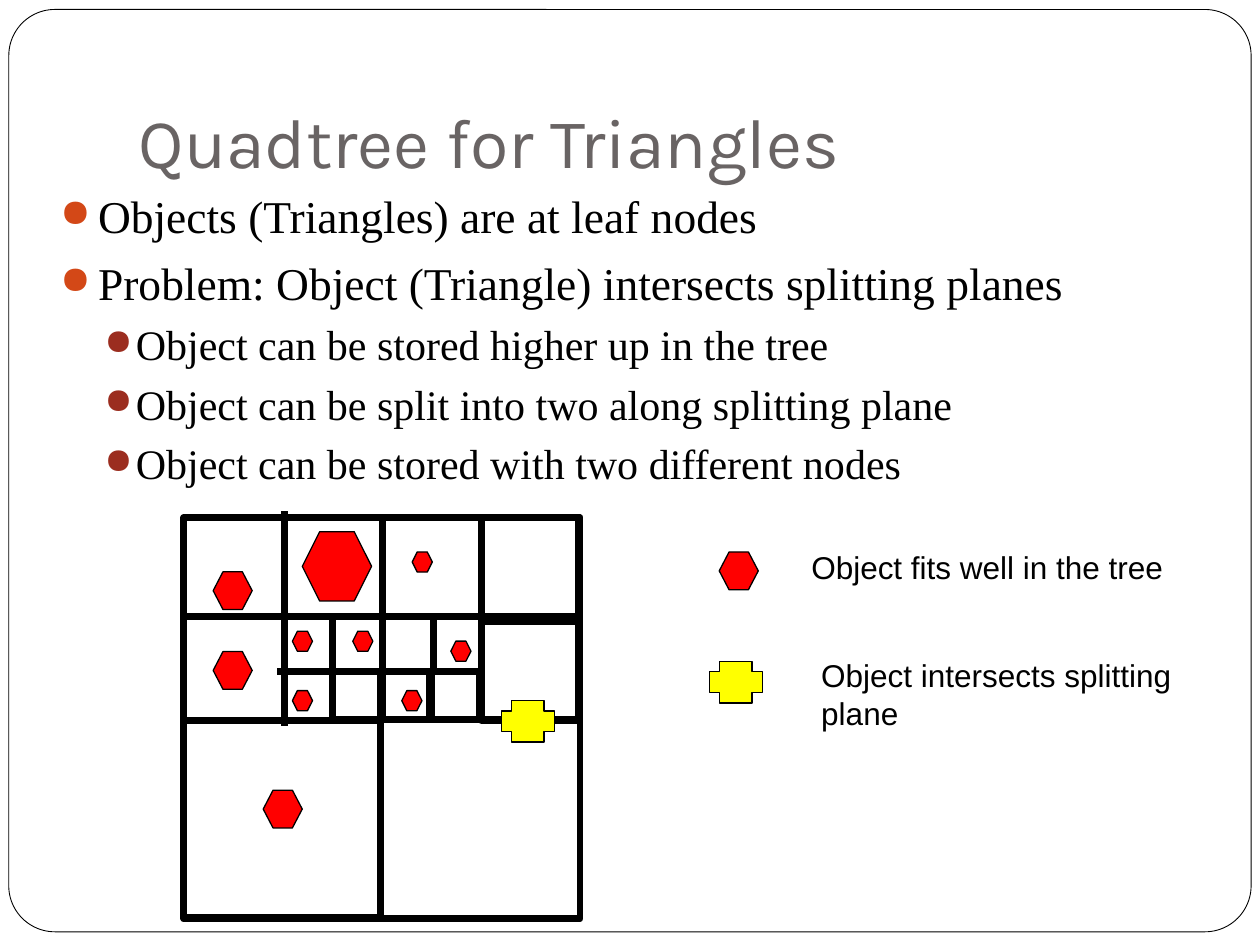
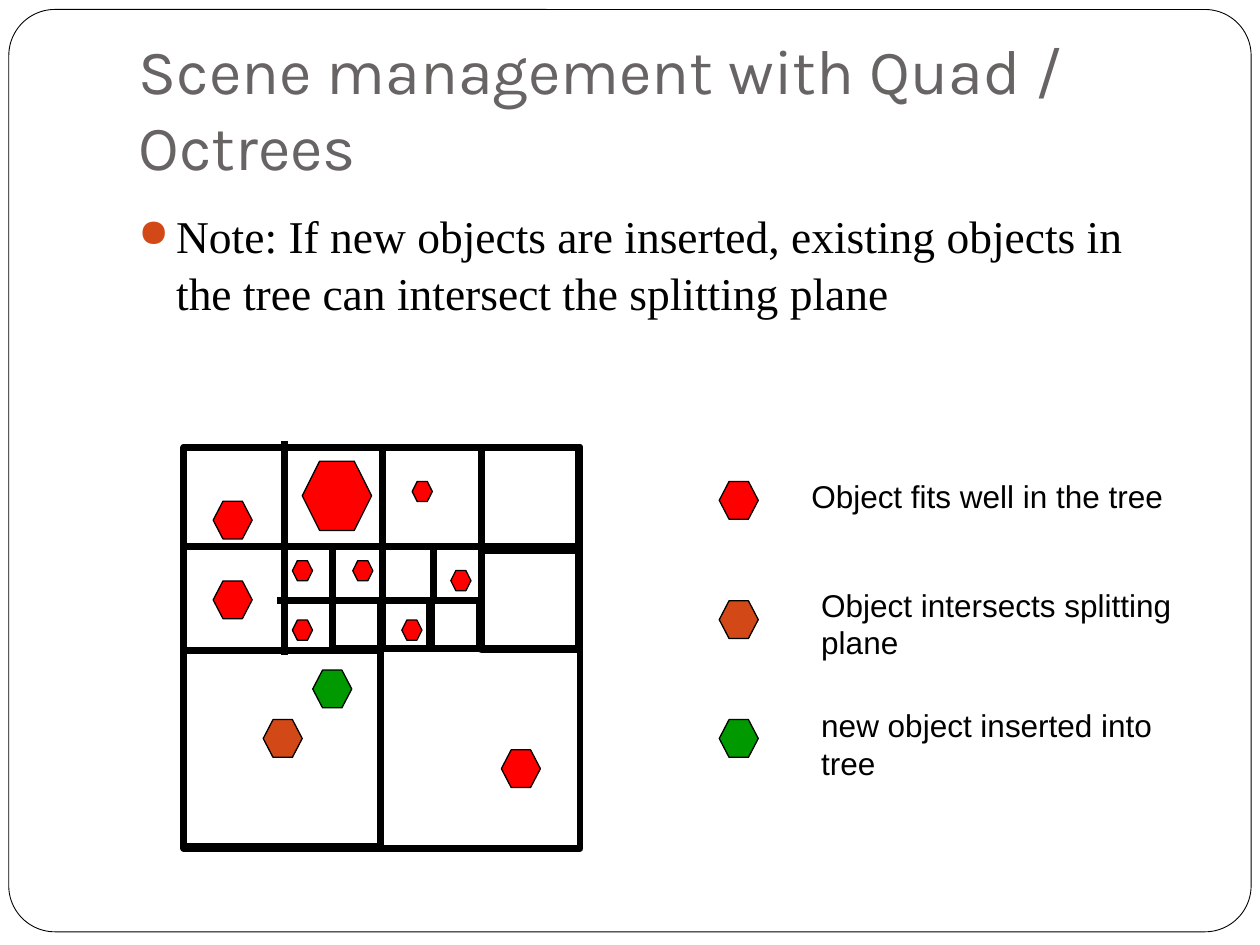
from dataclasses import dataclass

from lxml.etree import SubElement
from pptx import Presentation
from pptx.dml.color import RGBColor
from pptx.enum.shapes import MSO_CONNECTOR, MSO_SHAPE
from pptx.enum.text import MSO_ANCHOR, MSO_AUTO_SIZE, PP_ALIGN
from pptx.oxml.ns import qn
from pptx.util import Inches, Pt

COLORS = {
    "paper": "FFFFFF", "ink": "000000", "title": "696464",
    "fits": "FF0000", "plane": "FFFF00", "split": "D34817", "new": "009900",
    "bullet": "D34817", "sub_bullet": "9B2D1F",
}
WIDTH, HEIGHT = 10, 7.5
CELL = 0.393      # side of the smallest quadtree cell, inches
TREE_LEFT = 1.46
WALL = 4          # points

TITLE_FRAME = {
    "word_wrap": True, "auto_size": MSO_AUTO_SIZE.NONE,
    "vertical_anchor": MSO_ANCHOR.BOTTOM,
    "margin_left": Inches(0.1), "margin_right": Inches(0.1),
    "margin_top": Inches(0.05), "margin_bottom": Inches(0.1),
}
# Indent and hang in inches, space before and size in points, for each level
LEVELS = [(0.3, 0.3, 5.8, 26, "bullet"), (0.6, 0.25, 3.7, 24, "sub_bullet")]


@dataclass(frozen=True)
class Kind:
    """Look of an object: size in inches and corner adjustment."""
    preset: MSO_SHAPE
    width: float
    height: float
    corner: float


BIG = Kind(MSO_SHAPE.HEXAGON, 0.55, 0.55, 0.25)
MEDIUM = Kind(MSO_SHAPE.HEXAGON, 0.31, 0.3, 0.26)
SMALL = Kind(MSO_SHAPE.HEXAGON, 0.16, 0.16, 0.25)
CROSS = Kind(MSO_SHAPE.CROSS, 0.42, 0.33, 0.25)


@dataclass(frozen=True)
class Item:
    """An object at a column and row of the tree's cells."""
    kind: Kind
    col: float
    row: float
    color: str = "fits"


@dataclass(frozen=True)
class Label:
    col: float
    row: float
    text: str
    height: float = 0.7


@dataclass(frozen=True)
class Page:
    title: str
    title_size: int
    body_box: tuple[float, float, float, float]
    bullets: list[tuple[int, str]]
    tree_top: float
    items: list[Item]
    labels: list[Label]


# Column, row, columns wide, rows high, filled
WALLS = [
    (0, 0, 8, 8.1, True),
    (0, 4.1, 3.97, 3.97, False),
    (4, 0, 3.97, 4.07, True),
    *[(6, row, 1.98, 2.09, False) for row in (0, 2)],
    *[(col, 3.1, 0.97, 0.97, False) for col in (5, 4, 3)],
]
# Column and row of both ends
SPLITS = [
    (0, 2, 5.98, 2), (2.04, 4.2, 2.04, -0.13), (3.1, 3.1, 1.88, 3.1),
    *[(col, 2, col, 3.08) for col in (3, 5.04)],
]
SHARED_ITEMS = [
    Item(MEDIUM, 0.59, 1.09), Item(MEDIUM, 0.59, 2.7), Item(BIG, 2.39, 0.28),
    *[Item(SMALL, col, row) for col, row in (
        (2.19, 2.29), (2.19, 3.49), (3.41, 2.29),
        (4.61, 0.69), (5.39, 2.49), (4.4, 3.49))],
    Item(MEDIUM, 10.81, 0.69),
]
SHARED_LABELS = [
    Label(12.42, 0.48, "Object fits well in the tree", 0.4),
    Label(12.62, 2.67, "Object intersects splitting plane"),
]

PAGES = [
    Page(
        "Quadtree for Triangles", 40, (0.38, 1.42, 9.4, 5.01),
        [(0, "Objects (Triangles) are at leaf nodes"),
         (0, "Problem: Object (Triangle) intersects splitting planes"),
         (1, "Object can be stored higher up in the tree"),
         (1, "Object can be split into two along splitting plane"),
         (1, "Object can be stored with two different nodes")],
        4.11,
        [Item(CROSS, 6.41, 3.69, "plane"), Item(MEDIUM, 1.6, 5.5),
         Item(CROSS, 10.61, 2.9, "plane")],
        [],
    ),
    Page(
        "Scene management with Quad / Octrees", 36, (1, 1.58, 8.5, 5),
        [(0, "Note: If new objects are inserted, existing objects in "
             "the tree can intersect the splitting plane")],
        3.55,
        [Item(MEDIUM, 1.6, 5.5, "split"), Item(MEDIUM, 6.41, 6.11),
         Item(MEDIUM, 10.81, 3.1, "split"), Item(MEDIUM, 10.81, 5.5, "new"),
         Item(MEDIUM, 2.6, 4.5, "new")],
        [Label(12.62, 5.11, "new object inserted into tree")],
    ),
]


def rgb(name: str) -> RGBColor:
    return RGBColor.from_string(COLORS[name])


def apply(target, values: dict) -> None:
    for name, value in values.items():
        setattr(target, name, value)


def set_font(font, face: str, size: float, color: str = "ink") -> None:
    apply(font, {"name": face, "size": Pt(size)})
    font.color.rgb = rgb(color)


def add_figure(slide, preset, box, fill: str | None, line_width: float):
    figure = slide.shapes.add_shape(preset, *map(Inches, box))
    figure.shadow.inherit = False
    if fill:
        figure.fill.solid()
        figure.fill.fore_color.rgb = rgb(fill)
    else:
        figure.fill.background()
    figure.line.color.rgb = rgb("ink")
    figure.line.width = Pt(line_width)
    return figure


def add_layout_border(slide) -> None:
    """Move the rounded border behind everything on the shared layout."""
    box = (0.007 * WIDTH, 0.01 * HEIGHT, 0.986 * WIDTH, 0.976 * HEIGHT)
    border = add_figure(slide, MSO_SHAPE.ROUNDED_RECTANGLE, box, "paper", 0.5)
    border.adjustments[0] = 0.05
    slide.slide_layout.shapes.element.insert(2, border.element)


def format_title(slide, page: Page) -> None:
    title = slide.shapes.title
    apply(title, {
        "left": Inches(0.1 * WIDTH), "top": Inches(0.04 * HEIGHT),
        "width": Inches(0.85 * WIDTH), "height": Inches(1.25)})
    title.text_frame.text = page.title
    apply(title.text_frame, TITLE_FRAME)
    heading = title.text_frame.paragraphs[0]
    heading.alignment = PP_ALIGN.LEFT
    set_font(heading.runs[0].font, "Karla", page.title_size, "title")


def add_bullets(slide, page: Page) -> None:
    frame = slide.shapes.add_textbox(*map(Inches, page.body_box)).text_frame
    frame.word_wrap = True
    for number, (level, text) in enumerate(page.bullets):
        point = frame.add_paragraph() if number else frame.paragraphs[0]
        indent, hang, before, size, color = LEVELS[level]
        apply(point, {"text": text, "level": level,
                      "space_before": Pt(before), "line_spacing": 1.05})
        set_font(point.runs[0].font, "Times New Roman", size)
        props = point._p.get_or_add_pPr()
        props.set("marL", str(Inches(indent)))
        props.set("indent", str(-Inches(hang)))
        tint = SubElement(props, qn("a:buClr"))
        SubElement(tint, qn("a:srgbClr"), val=COLORS[color])
        SubElement(props, qn("a:buSzPct"), val="85000")
        SubElement(props, qn("a:buChar"), char="●")


def add_tree(slide, top: float) -> None:
    # Cells
    for col, row, cols, rows, filled in WALLS:
        box = (TREE_LEFT + col * CELL, top + row * CELL,
               cols * CELL, rows * CELL)
        add_figure(slide, MSO_SHAPE.RECTANGLE, box,
                   "paper" if filled else None, WALL)
    # Splitting planes
    for col1, row1, col2, row2 in SPLITS:
        split = slide.shapes.add_connector(
            MSO_CONNECTOR.STRAIGHT,
            Inches(TREE_LEFT + col1 * CELL), Inches(top + row1 * CELL),
            Inches(TREE_LEFT + col2 * CELL), Inches(top + row2 * CELL))
        split.line.color.rgb = rgb("ink")
        split.line.width = Pt(WALL)
        SubElement(split.element.spPr, qn("a:effectLst"))


def add_item(slide, item: Item, top: float) -> None:
    kind = item.kind
    box = (TREE_LEFT + item.col * CELL, top + item.row * CELL,
           kind.width, kind.height)
    figure = add_figure(slide, kind.preset, box, item.color, 0.75)
    figure.adjustments[0] = kind.corner


def add_label(slide, label: Label, top: float) -> None:
    frame = slide.shapes.add_textbox(
        Inches(TREE_LEFT + label.col * CELL), Inches(top + label.row * CELL),
        Inches(3.23), Inches(label.height)).text_frame
    apply(frame, {"text": label.text, "word_wrap": True,
                  "auto_size": MSO_AUTO_SIZE.SHAPE_TO_FIT_TEXT})
    set_font(frame.paragraphs[0].runs[0].font, "Arial", 18)


def main() -> None:
    deck = Presentation()
    apply(deck, {"slide_width": Inches(WIDTH), "slide_height": Inches(HEIGHT)})
    title_only = deck.slide_layouts[5]
    for number, page in enumerate(PAGES):
        slide = deck.slides.add_slide(title_only)
        if number == 0:
            add_layout_border(slide)
        format_title(slide, page)
        add_bullets(slide, page)
        add_tree(slide, page.tree_top)
        for item in SHARED_ITEMS + page.items:
            add_item(slide, item, page.tree_top)
        for label in SHARED_LABELS + page.labels:
            add_label(slide, label, page.tree_top)
    deck.save("out.pptx")


if __name__ == "__main__":
    main()
